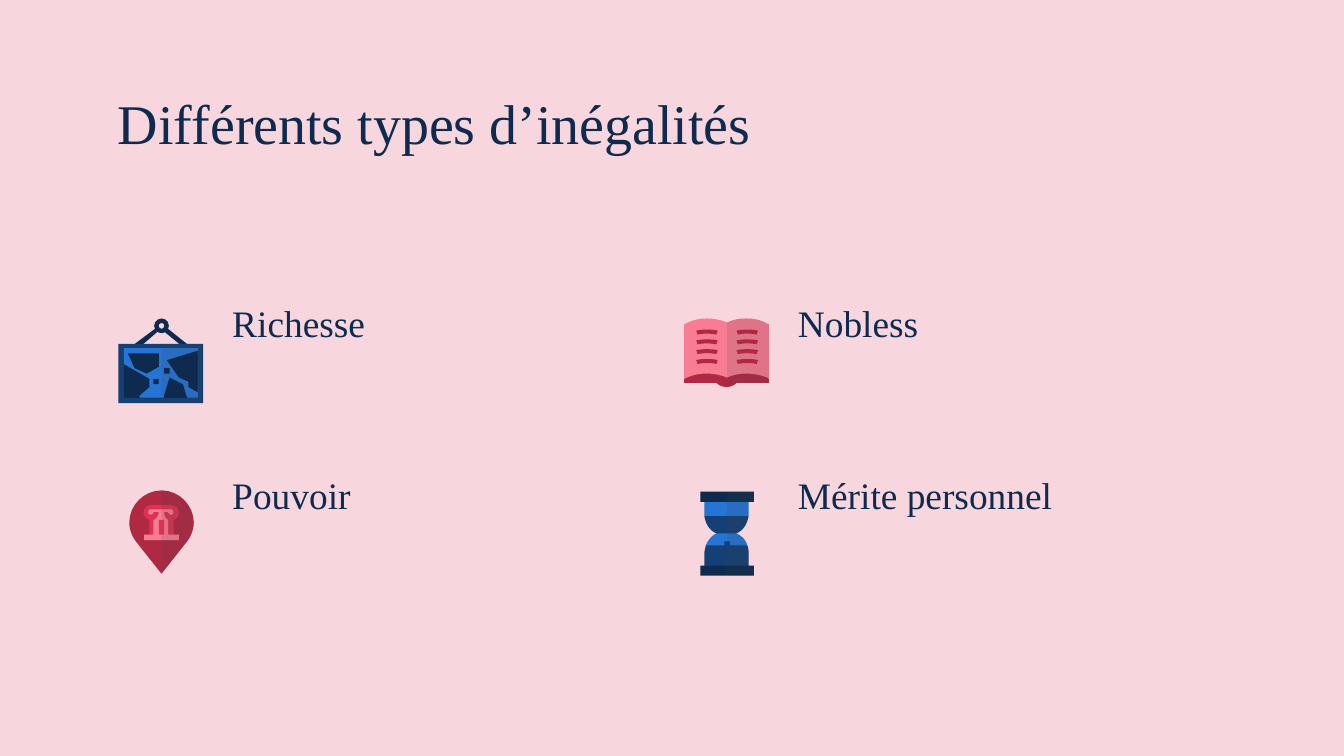
from lxml import etree
from pptx import Presentation
from pptx.dml.color import RGBColor
from pptx.enum.shapes import MSO_SHAPE
from pptx.enum.text import MSO_ANCHOR, MSO_AUTO_SIZE, PP_ALIGN
from pptx.oxml.ns import qn
from pptx.util import Cm, Pt

RECT, RING = MSO_SHAPE.RECTANGLE, MSO_SHAPE.DONUT
MIDDLE, BOTTOM = MSO_ANCHOR.MIDDLE, MSO_ANCHOR.BOTTOM
LEFT, FIXED = PP_ALIGN.LEFT, MSO_AUTO_SIZE.NONE

PINK = RGBColor(0xF7, 0xD6, 0xDD)
NAVY = RGBColor(0x0E, 0x2B, 0x4F)
STEEL = RGBColor(0x15, 0x40, 0x75)
BLUE = RGBColor(0x26, 0x74, 0xD4)
WINE = RGBColor(0xB0, 0x29, 0x43)
RED = RGBColor(0xDC, 0x33, 0x54)
ROSE = RGBColor(0xF7, 0x7C, 0x94)
GREY = RGBColor(0x43, 0x43, 0x43)
FONT = "Times New Roman"

TITLE = "Différents types d’inégalités"

# Icon parts: (colour, shaded right half, outline) on a grid 63 units wide.
# A tuple is a box (left, top, width, height); a string is a path where
# L starts straight points and C a Bézier curve.
PAINTING = [
    (NAVY, False, "28 7 12 19 15 22 30 9"),
    (NAVY, False, "36 7 33 9 49 22 51 19"),
    (STEEL, True, (0, 19, 63, 44)),
    (BLUE, True, "4 22 4 34 16 59 34 59 41 57 51 59 59 59 59 55 56 36 59 24 59 22"),
    (NAVY, False, "7 26 12 37 21 41 30 36 30 26"),
    (NAVY, False, (26, 45, 4, 4)),
    (NAVY, False, "4 34 4 59 16 59 15 58 23 51 23 45"),
    (NAVY, False, (34, 37, 4, 4)),
    (NAVY, False, "59 24 36 31 45 44 52 47 52 51 59 55"),
    (NAVY, False, "38 44 34 57 34 59 51 59 48 49"),
]
HOOK = (26.5, 0, 11, 11)
BOOK = [
    (WINE, True, "32 33 4 40 0 45 0 48 24 48 C 26 50 29 51 32 51 "
                 "C 34 51 37 50 39 48 L 63 48 63 45 60 40"),
    (ROSE, True, "17 0 C 12 0 6 1 1 4 L 0 4 0 45 C 6 42 11 41 17 41 "
                 "C 22 41 27 42 32 44 C 36 42 41 41 46 41 C 52 41 57 42 62 44 "
                 "L 63 45 63 4 62 4 C 57 1 52 0 46 0 C 41 0 36 1 32 3 "
                 "C 27 1 22 0 17 0"),
]
for row in range(4):
    y = 9 + 7.3 * row
    for x in (9, 39):
        BOOK.append((WINE, False,
                     f"{x} {y} C {x + 5} {y - 1} {x + 11} {y - 1} {x + 16} {y} "
                     f"L {x + 15} {y + 3} C {x + 11} {y + 2} {x + 5} {y + 2} {x + 1} {y + 3}"))
PIN = [
    (WINE, True, "32 0 C 19 0 8 11 8 24 C 8 29 10 34 13 38 L 32 62 51 38 "
                 "C 54 34 56 29 56 24 C 56 11 45 0 32 0"),
    (RED, True, "24 11 C 18 11 16 20 23 22 L 23 35 41 35 41 22 C 47 20 46 11 39 11"),
    (ROSE, True, "24 14 C 22 14 21 18 24 18 C 25 18 26 17 26 16 L 30 16 "
                 "C 30 19 28 21 26 22 L 26 35 37 35 37 22 C 35 21 34 19 34 16 "
                 "L 37 16 C 37 17 38 18 39 18 C 42 18 41 14 39 14"),
    (RED, False, (30, 22, 4, 13)),
    (ROSE, True, (19, 33, 26, 4)),
]
GLASS = [
    (BLUE, True, "32 29 24 32 C 20 34 18 37 16 41 L 32 45 47 41 C 46 37 43 34 39 32"),
    (STEEL, True, "32 16 15 19 C 16 25 19 30 24 32 L 39 32 C 44 30 47 25 48 19"),
    (BLUE, True, (15, 5, 33, 14)),
    (NAVY, True, (12, 1, 40, 7.5)),
    (STEEL, False, (30, 38, 4, 5)),
    (STEEL, True, "16 41 C 16 43 15 45 15 47 L 15 60 48 60 48 47 C 48 45 48 43 47 41"),
    (NAVY, True, (12, 56, 40, 7.5)),
]
# Label, icon, column, row
ITEMS = [
    ("Richesse", PAINTING, 0, 0),
    ("Pouvoir", PIN, 0, 1),
    ("Nobless", BOOK, 1, 0),
    ("Mérite personnel", GLASS, 1, 1),
]

UNIT = 0.0254  # cm per icon unit
MID = 32       # axis where the shade begins
STEPS = 8      # segments per curve


def trace(text):
    """Turn a path string into a list of points."""
    pts, mode, nums = [], "L", []
    for word in text.split():
        if word in "LC":
            mode = word
            continue
        nums.append(float(word))
        if mode == "L" and len(nums) == 2:
            pts.append(tuple(nums))
            nums = []
        elif mode == "C" and len(nums) == 6:
            knots = [pts[-1], nums[:2], nums[2:4], nums[4:]]
            for i in range(1, STEPS + 1):
                t = i / STEPS
                mix = ((1 - t) ** 3, 3 * t * (1 - t) ** 2, 3 * t * t * (1 - t), t ** 3)
                pts.append(tuple(sum(m * k[n] for m, k in zip(mix, knots)) for n in (0, 1)))
            nums = []
    return pts


def clip(pts):
    """Keep the part of a polygon right of the axis."""
    out = []
    for (ax, ay), (bx, by) in zip(pts[-1:] + pts[:-1], pts):
        if (ax < MID) != (bx < MID):
            out.append((MID, ay + (by - ay) * (MID - ax) / (bx - ax)))
        if bx >= MID:
            out.append((bx, by))
    return out


def paint(shape, color, alpha=None):
    shape.shadow.inherit = False
    shape.fill.solid()
    shape.fill.fore_color.rgb = color
    shape.line.fill.background()
    if alpha:
        tone = shape.fill._xPr.find(".//" + qn("a:srgbClr"))
        etree.SubElement(tone, qn("a:alpha")).set("val", str(alpha * 1000))


def add_box(shapes, kind, box, left, top):
    x, y, w, h = (n * UNIT for n in box)
    return shapes.add_shape(kind, Cm(left + x), Cm(top + y), Cm(w), Cm(h))


def add_poly(shapes, pts, left, top):
    spots = [(Cm(left + x * UNIT), Cm(top + y * UNIT)) for x, y in pts]
    pen = shapes.build_freeform(*spots[0])
    pen.add_line_segments(spots[1:])
    return pen.convert_to_shape()


def add_icon(slide, parts, left, top):
    shapes = slide.shapes.add_group_shape().shapes
    for color, shaded, form in parts:
        if isinstance(form, tuple):
            x, y, w, h = form
            paint(add_box(shapes, RECT, form, left, top), color)
            if shaded:
                half = (MID, y, x + w - MID, h)
                paint(add_box(shapes, RECT, half, left, top), GREY, 13)
        else:
            pts = trace(form)
            paint(add_poly(shapes, pts, left, top), color)
            if shaded:
                paint(add_poly(shapes, clip(pts), left, top), GREY, 13)
    if parts is PAINTING:
        ring = add_box(shapes, RING, HOOK, left, top)
        ring.adjustments[0] = 0.31
        paint(ring, NAVY)


def write(shape, text, size, anchor):
    frame = shape.text_frame
    frame.text = text
    frame.word_wrap = True
    frame.auto_size = FIXED
    frame.vertical_anchor = anchor
    frame.margin_left = frame.margin_right = Cm(0.25)
    frame.margin_top = frame.margin_bottom = Cm(0.25)
    par = frame.paragraphs[0]
    par.alignment = LEFT
    font = par.runs[0].font
    font.name, font.size, font.color.rgb = FONT, Pt(size), NAVY


deck = Presentation()
deck.slide_width, deck.slide_height = Cm(25.4), Cm(14.29)
slide = deck.slides.add_slide(deck.slide_layouts[5])
slide.background.fill.solid()
slide.background.fill.fore_color.rgb = PINK

title = slide.shapes.title
title.left, title.top, title.width, title.height = Cm(1.98), Cm(1.5), Cm(21.44), Cm(1.6)
write(title, TITLE, 30, MIDDLE)

for label, icon, col, row in ITEMS:
    left, top = 2.24 + 10.69 * col, 6.02 + 3.25 * row
    box = slide.shapes.add_textbox(Cm(left + 1.9), Cm(top - 0.61), Cm(6.91), Cm(1.37))
    write(box, label, 20, BOTTOM)
    add_icon(slide, icon, left, top)

deck.save("out.pptx")
